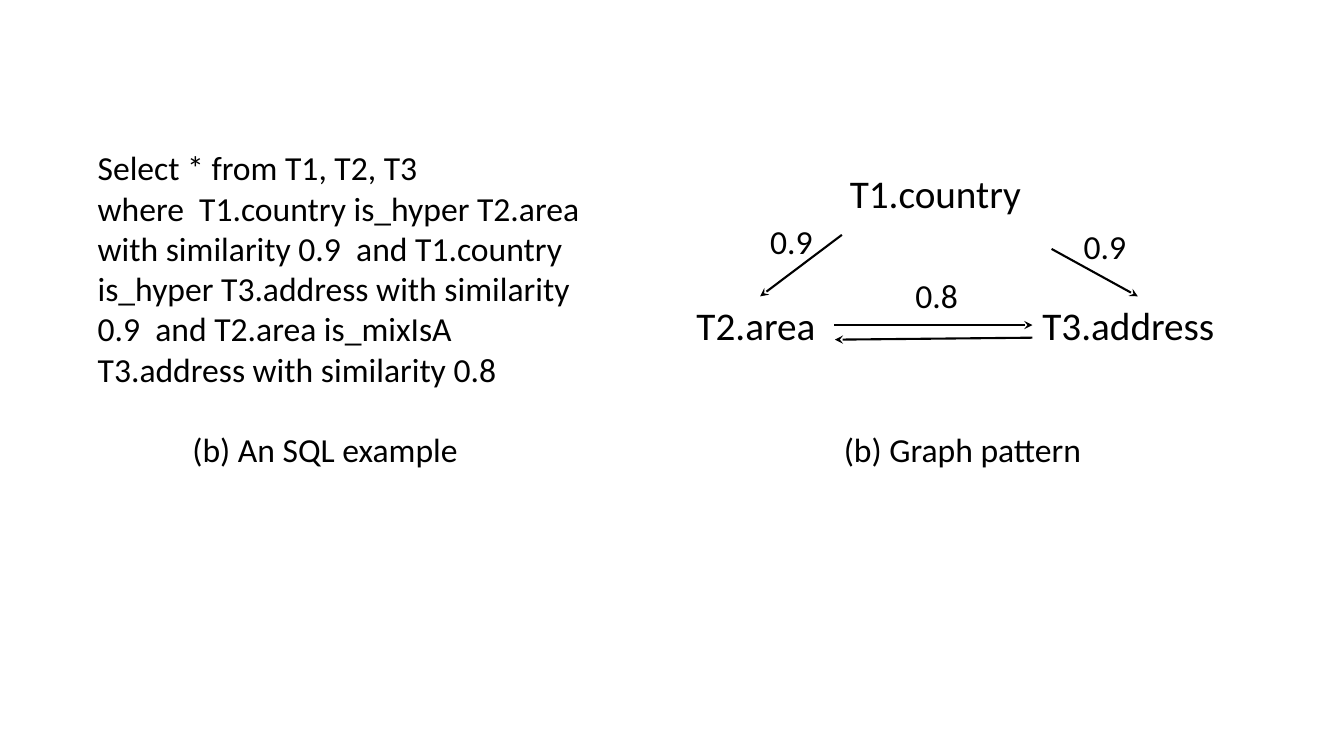
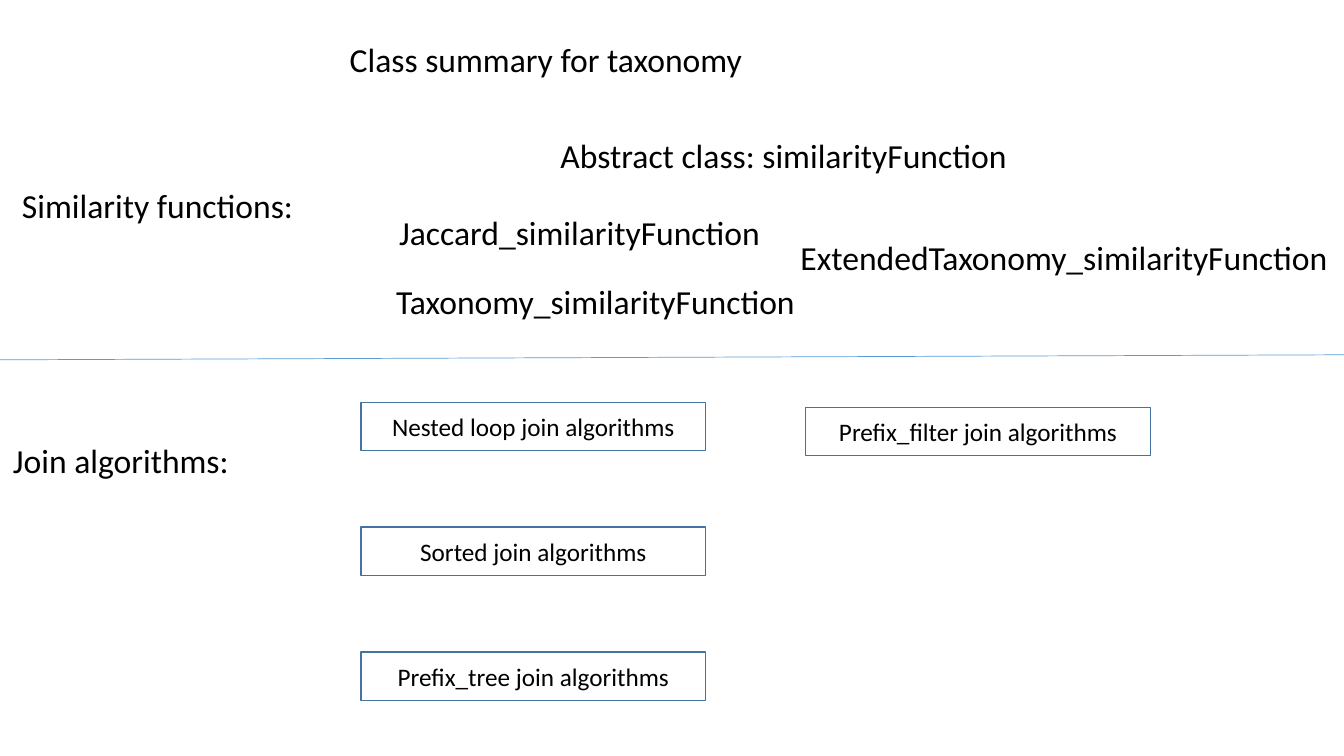
from lxml import etree
from pptx import Presentation
from pptx.dml.color import RGBColor
from pptx.enum import shapes, text
from pptx.oxml import ns
from pptx.util import Inches, Pt

BLACK, BLUE, DARK_BLUE = "000000", "5B9BD5", "43739E"
TOP, LEFT, RIGHT = 0, 1, 3  # connection sites


def color(value):
    return RGBColor.from_string(value)


def write(frame, content, size=24, align=None):
    """Put one paragraph per line of content into a text frame."""
    frame.word_wrap = True
    for index, line in enumerate(content.split("\n")):
        paragraph = frame.paragraphs[0] if index == 0 else frame.add_paragraph()
        paragraph.alignment = align
        run = paragraph.add_run()
        run.text = line
        run.font.name = "Calibri"
        run.font.size = Pt(size)
        run.font.color.rgb = color(BLACK)


class Deck:
    def __init__(self):
        self.presentation = Presentation()
        self.presentation.slide_width = Inches(13.33)
        self.presentation.slide_height = Inches(7.5)
        self.slide = None

    def new_slide(self):
        layout = self.presentation.slide_layouts[6]
        self.slide = self.presentation.slides.add_slide(layout)

    def label(self, content, left, top, width, height=0.5, size=24):
        box = self.slide.shapes.add_textbox(
            Inches(left), Inches(top), Inches(width), Inches(height))
        write(box.text_frame, content, size=size)
        box.text_frame.auto_size = text.MSO_AUTO_SIZE.SHAPE_TO_FIT_TEXT
        return box

    def node(self, content, left, top, width):
        return self.label(content, left, top, width, height=0.57, size=28)

    def box(self, content, left, top):
        shape = self.slide.shapes.add_shape(
            shapes.MSO_SHAPE.RECTANGLE,
            Inches(left), Inches(top), Inches(3.42), Inches(0.48))
        shape.shadow.inherit = False
        shape.fill.background()
        shape.line.color.rgb = color(DARK_BLUE)
        shape.line.width = Pt(1)
        shape.text_frame.vertical_anchor = text.MSO_ANCHOR.MIDDLE
        write(shape.text_frame, content, size=18, align=text.PP_ALIGN.CENTER)

    def line(self, start, end, stroke=BLACK, width=1.5):
        connector = self.slide.shapes.add_connector(
            shapes.MSO_CONNECTOR.STRAIGHT, *map(Inches, (*start, *end)))
        connector.line.color.rgb = color(stroke)
        connector.line.width = Pt(width)
        etree.SubElement(connector._element.spPr, ns.qn("a:effectLst"))
        return connector

    def arrow(self, tip, tail, tip_joint=None, tail_joint=None):
        """Draw an arrow pointing at tip; a joint is a (shape, site) pair."""
        connector = self.line(tip, tail)
        outline = connector.line._get_or_add_ln()
        etree.SubElement(outline, ns.qn("a:headEnd"), type="stealth")
        if tip_joint:
            connector.begin_connect(*tip_joint)
        if tail_joint:
            connector.end_connect(*tail_joint)


def build_query_slide(deck):
    deck.new_slide()
    deck.node("T1.country", 8.33, 1.63, 2.1)
    area = deck.node("T2.area", 6.81, 2.94, 1.46)
    address = deck.node("T3.address", 10.24, 2.94, 2.09)

    deck.arrow((7.54, 2.94), (8.35, 2.33), tip_joint=(area, TOP))
    deck.arrow((11.28, 2.94), (10.43, 2.47), tip_joint=(address, TOP))
    deck.arrow((10.24, 3.22), (8.27, 3.22),
               tip_joint=(address, LEFT), tail_joint=(area, RIGHT))
    deck.arrow((8.28, 3.37), (10.24, 3.35))

    deck.label("Select * from T1, T2, T3\n"
               "where  T1.country is_hyper T2.area with similarity 0.9  "
               "and T1.country is_hyper T3.address with similarity 0.9  "
               "and T2.area is_mixIsA T3.address with similarity 0.8",
               0.87, 1.41, 5.21, height=2.52)
    deck.label("(b) Graph pattern", 8.27, 4.21, 2.81)
    deck.label("(b) An SQL example", 1.81, 4.21, 3.32)
    for similarity, left, top in (("0.9", 7.54, 2.14), ("0.9", 10.65, 2.19),
                                  ("0.8", 8.98, 2.68)):
        deck.label(similarity, left, top, 1)


def build_class_slide(deck):
    deck.new_slide()
    for content, left, top, width in (
            ("Class summary for taxonomy", 3.37, 0.34, 4.18),
            ("Similarity functions:", 0.12, 1.79, 2.97),
            ("Jaccard_similarityFunction", 3.86, 2.05, 3.89),
            ("Abstract class: similarityFunction", 5.46, 1.29, 4.75),
            ("Taxonomy_similarityFunction", 3.83, 2.74, 4.38),
            ("ExtendedTaxonomy_similarityFunction", 7.84, 2.3, 5.52),
            ("Join algorithms:", 0.03, 4.32, 2.97)):
        deck.label(content, left, top, width)

    deck.line((0, 3.57), (13.33, 3.52), stroke=BLUE, width=0.5)

    for row, algorithm in enumerate(("Nested loop", "Sorted", "Prefix_tree")):
        deck.box(f"{algorithm} join algorithms", 3.58, 3.99 + 1.24 * row)
    deck.box("Prefix_filter join algorithms", 7.99, 4.04)


def main():
    deck = Deck()
    build_query_slide(deck)
    build_class_slide(deck)
    deck.presentation.save("out.pptx")


if __name__ == "__main__":
    main()
